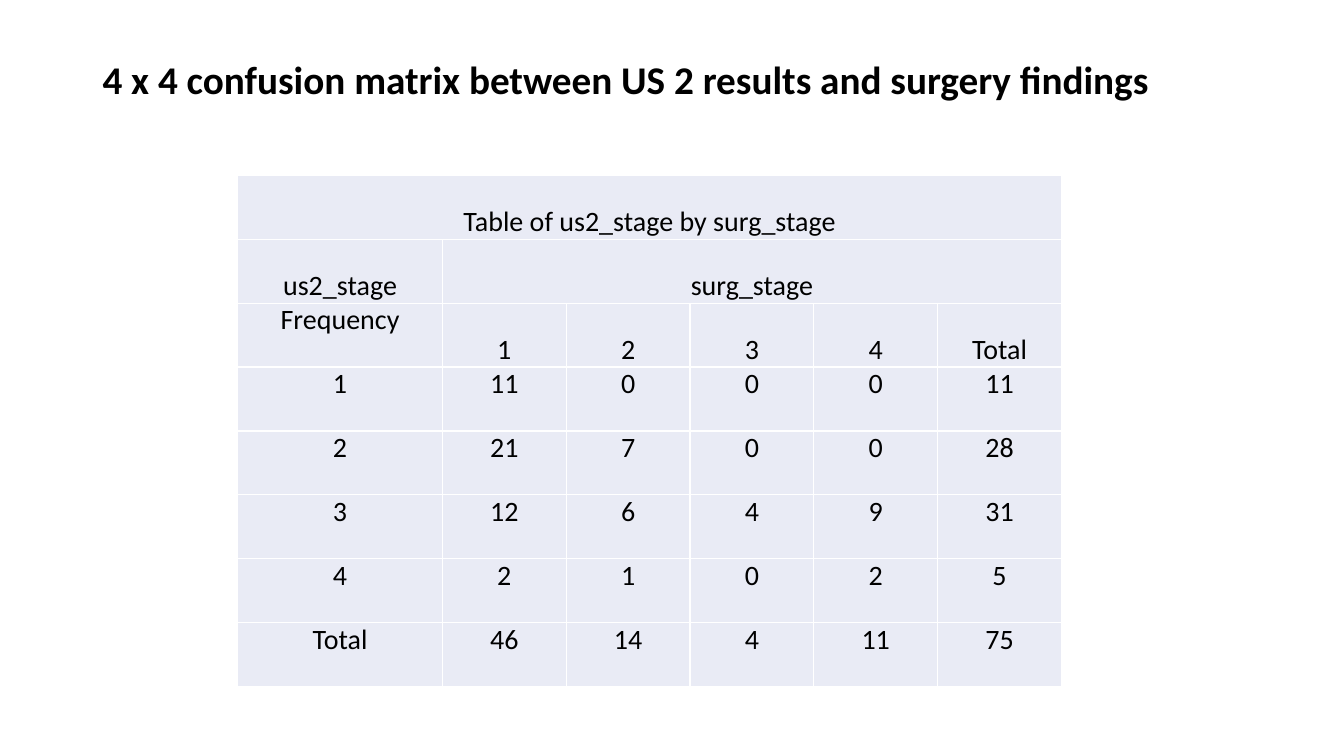
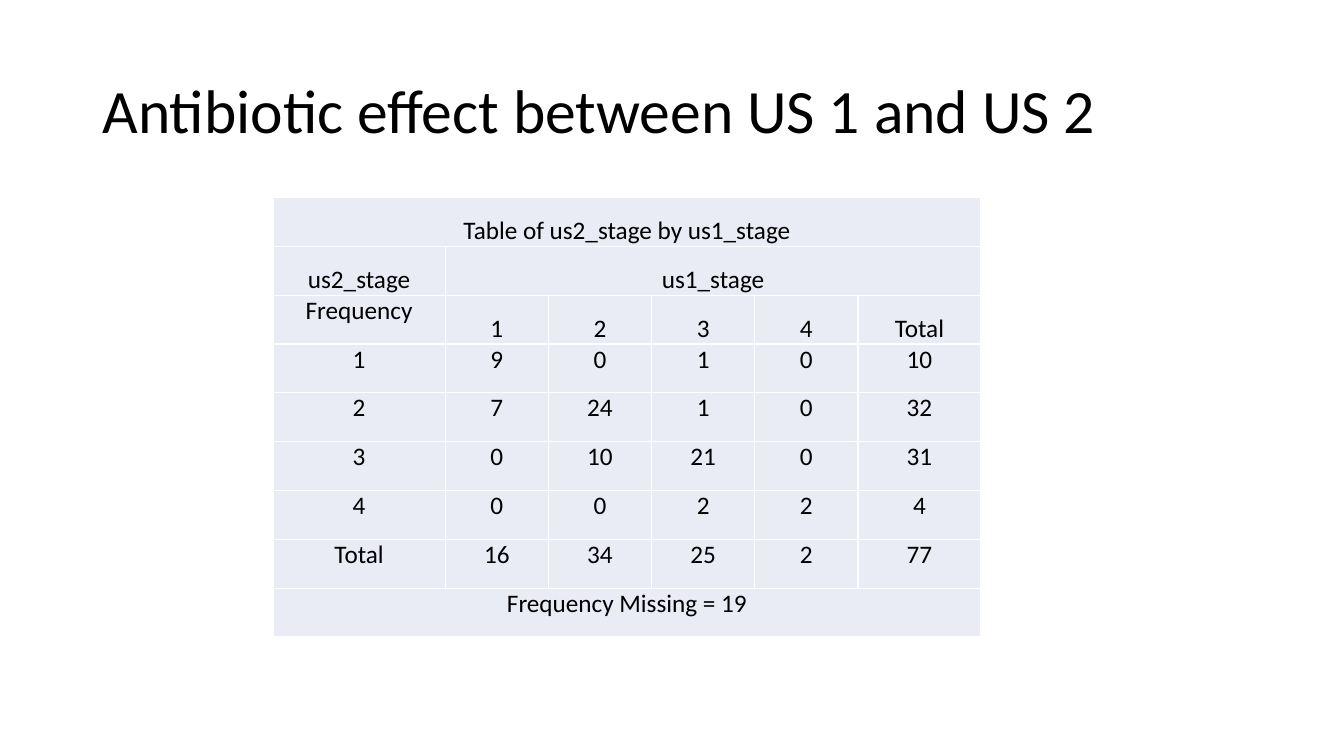
from dataclasses import dataclass

from lxml.etree import SubElement
from pptx import Presentation
from pptx.dml.color import RGBColor
from pptx.enum.text import MSO_ANCHOR, MSO_AUTO_SIZE, PP_ALIGN
from pptx.oxml.ns import qn
from pptx.util import Cm, Pt


@dataclass(frozen=True)
class Theme:
    font: str = "Calibri"
    text: str = "000000"
    cell: str = "E9EBF5"
    border: str = "FFFFFF"
    border_width: int = Pt(1)
    heading_size: int = 28
    title_size: int = 44
    large_table_size: int = 20
    small_table_size: int = 18
    cell_spacing: float = 3.4
    cell_margin: int = Cm(0.13)


THEME = Theme()
TITLE_LEFT, TITLE_TOP, TITLE_WIDTH = Cm(2.33), Cm(1.01), Cm(29.21)
STAGES = [1, 2, 3, 4]
HEADER_ROWS = 3


def write_text(frame, text, size, bold=False, align=PP_ALIGN.LEFT, spacing=0, line_spacing=1.0):
    paragraph = frame.paragraphs[0]
    paragraph.alignment = align
    paragraph.space_before = paragraph.space_after = Pt(spacing)
    paragraph.line_spacing = line_spacing
    run = paragraph.add_run()
    run.text = str(text)
    run.font.name = THEME.font
    run.font.size = Pt(size)
    run.font.bold = bold
    run.font.color.rgb = RGBColor.from_string(THEME.text)


def add_title(slide, text, height, size, bold=False):
    title = slide.shapes.title
    title.left, title.top, title.width, title.height = TITLE_LEFT, TITLE_TOP, TITLE_WIDTH, height
    frame = title.text_frame
    frame.word_wrap = True
    frame.auto_size = MSO_AUTO_SIZE.NONE
    frame.vertical_anchor = MSO_ANCHOR.MIDDLE
    write_text(frame, text, size, bold=bold, line_spacing=0.9)


def style_cell(cell, anchor):
    properties = cell._tc.get_or_add_tcPr()
    for side in ("a:lnL", "a:lnR", "a:lnT", "a:lnB"):
        line = SubElement(properties, qn(side), w=str(THEME.border_width))
        SubElement(SubElement(line, qn("a:solidFill")), qn("a:srgbClr"), val=THEME.border)
    cell.fill.solid()
    cell.fill.fore_color.rgb = RGBColor.from_string(THEME.cell)
    cell.margin_left = cell.margin_right = THEME.cell_margin
    cell.margin_top = cell.margin_bottom = 0
    cell.vertical_anchor = anchor


def matrix_rows(row_name, column_name, counts, footnote):
    body = [[stage, *row, sum(row)] for stage, row in zip(STAGES, counts)]
    column_totals = [sum(column) for column in zip(*counts)]
    rows = [
        [f"Table of {row_name} by {column_name}"],
        [row_name, column_name],
        ["Frequency", *STAGES, "Total"],
        *body,
        ["Total", *column_totals, sum(column_totals)],
    ]
    return rows + [[footnote]] if footnote else rows


def add_confusion_matrix(slide, left, top, widths, row_height, size, rows):
    shape = slide.shapes.add_table(
        len(rows), len(widths), left, top, sum(widths), row_height * len(rows)
    )
    table = shape.table
    table.first_row = table.horz_banding = False
    for column, width in zip(table.columns, widths):
        column.width = width
    last_column = len(widths) - 1
    for row_index, values in enumerate(rows):
        table.rows[row_index].height = row_height
        for column_index in range(len(widths)):
            is_header = row_index < HEADER_ROWS and values[column_index:] != values[0:] or row_index < 2
            anchor = MSO_ANCHOR.BOTTOM if is_header else MSO_ANCHOR.TOP
            style_cell(table.cell(row_index, column_index), anchor)
        if len(values) <= last_column:
            start = table.cell(row_index, len(values) - 1)
            start.merge(table.cell(row_index, last_column))
        for column_index, value in enumerate(values):
            write_text(
                table.cell(row_index, column_index).text_frame, value, size,
                align=PP_ALIGN.CENTER, spacing=THEME.cell_spacing,
            )


def add_matrix_slide(presentation, title, matrix, rows):
    slide = presentation.slides.add_slide(presentation.slide_layouts[5])
    add_title(slide, **title)
    add_confusion_matrix(slide, rows=rows, **matrix)


def main():
    presentation = Presentation()
    presentation.slide_width, presentation.slide_height = Cm(33.87), Cm(19.05)
    add_matrix_slide(
        presentation,
        title=dict(
            text="4 x 4 confusion matrix between US 2 results and surgery findings",
            height=Cm(2.1), size=THEME.heading_size, bold=True,
        ),
        matrix=dict(
            left=Cm(5.99), top=Cm(4.42), widths=[Cm(5.16)] + [Cm(3.12)] * 5,
            row_height=Cm(1.61), size=THEME.large_table_size,
        ),
        rows=matrix_rows(
            "us2_stage", "surg_stage",
            [[11, 0, 0, 0], [21, 7, 0, 0], [12, 6, 4, 9], [2, 1, 0, 2]], None,
        ),
    )
    add_matrix_slide(
        presentation,
        title=dict(
            text="Antibiotic effect between US 1 and US 2",
            height=Cm(3.68), size=THEME.title_size,
        ),
        matrix=dict(
            left=Cm(6.88), top=Cm(4.98), widths=[Cm(4.34)] + [Cm(2.6)] * 4 + [Cm(3.1)],
            row_height=Cm(1.23), size=THEME.small_table_size,
        ),
        rows=matrix_rows(
            "us2_stage", "us1_stage",
            [[9, 0, 1, 0], [7, 24, 1, 0], [0, 10, 21, 0], [0, 0, 2, 2]],
            "Frequency Missing = 19",
        ),
    )
    presentation.save("out.pptx")


if __name__ == "__main__":
    main()
